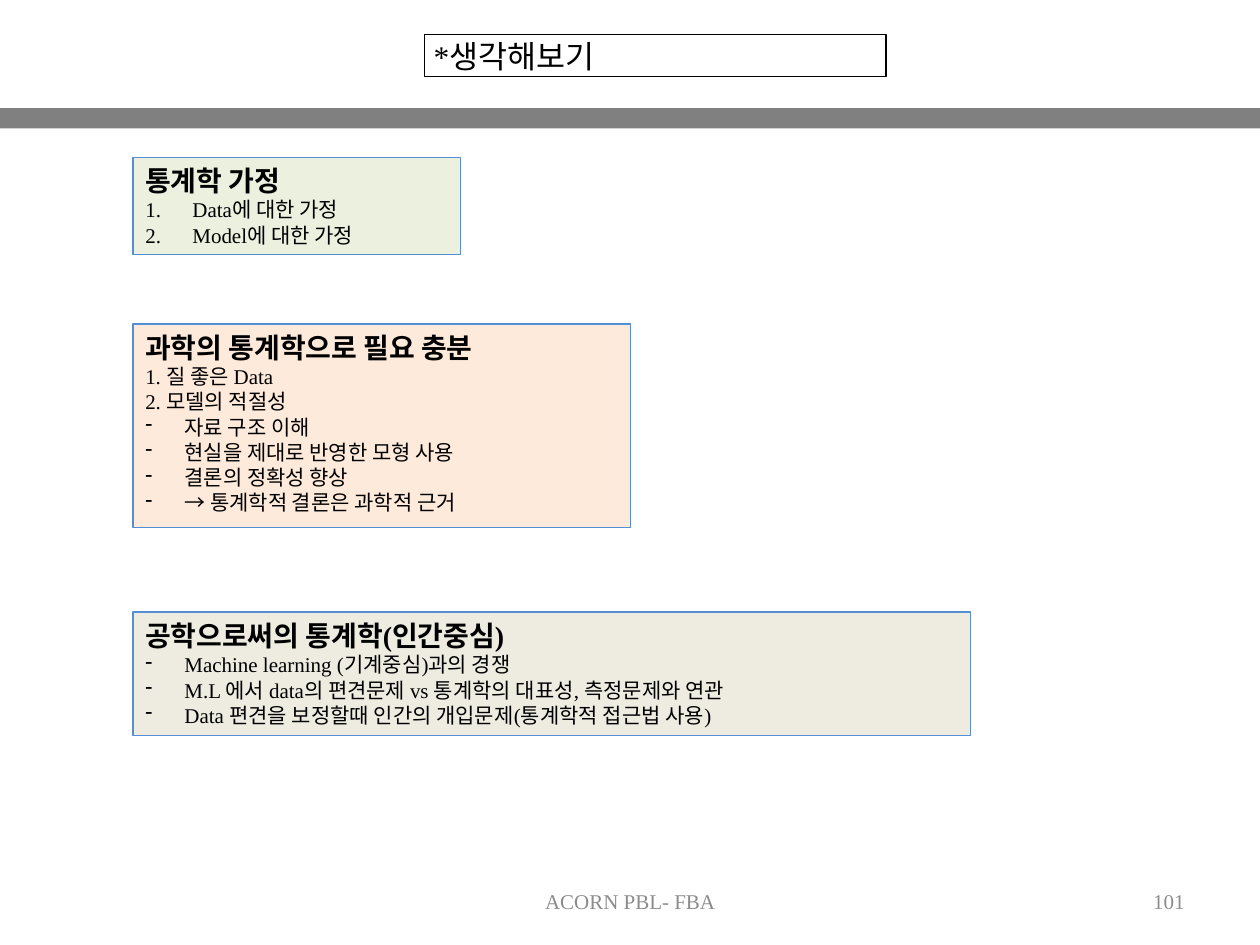
from lxml.etree import SubElement
from pptx import Presentation
from pptx.dml.color import RGBColor
from pptx.enum.shapes import MSO_SHAPE
from pptx.enum.text import MSO_ANCHOR, MSO_AUTO_SIZE, PP_ALIGN
from pptx.oxml.ns import qn
from pptx.util import Cm, Pt

FONT = "Times New Roman"
BLACK, WHITE, GREY, FOOTER_GREY, BLUE = "000000", "FFFFFF", "808080", "8C8C8C", "558ED5"
BOX_LEFT = 2.68
NUMBER, DASH = ("buAutoNum", "type", "arabicPeriod"), ("buChar", "char", "-")
INDENTS = {NUMBER: 0.95, DASH: 0.79}

# (top, width, height), fill, heading, [(bullet, line), ...]
TOPICS = [
    ((3.17, 6.6, 1.96), "EBF1DE", "통계학 가정", [
        (NUMBER, "Data에 대한 가정"),
        (NUMBER, "Model에 대한 가정"),
    ]),
    ((6.53, 10.03, 4.11), "FDEADA", "과학의 통계학으로 필요 충분", [
        (None, "1. 질 좋은 Data"),
        (None, "2. 모델의 적절성"),
        (DASH, "자료 구조 이해"),
        (DASH, "현실을 제대로 반영한 모형 사용"),
        (DASH, "결론의 정확성 향상"),
        (DASH, "→ 통계학적 결론은 과학적 근거"),
    ]),
    ((12.34, 16.89, 2.49), "EEECE1", "공학으로써의 통계학(인간중심)", [
        (DASH, "Machine learning (기계중심)과의 경쟁"),
        (DASH, "M.L 에서 data의 편견문제 vs 통계학의 대표성, 측정문제와 연관"),
        (DASH, "Data 편견을 보정할때 인간의 개입문제(통계학적 접근법 사용)"),
    ]),
]


def color(value):
    return RGBColor.from_string(value)


def place(shape, left, top, width, height):
    shape.left, shape.top = Cm(left), Cm(top)
    shape.width, shape.height = Cm(width), Cm(height)


def paint(shape, fill, line=None):
    shape.fill.solid()
    shape.fill.fore_color.rgb = color(fill)
    if line:
        shape.line.color.rgb = color(line)
        shape.line.width = Pt(0.75)
    else:
        shape.line.fill.background()


def add_rectangle(slide, box, fill, line=None):
    shape = slide.shapes.add_shape(MSO_SHAPE.RECTANGLE, *map(Cm, box))
    shape.shadow.inherit = False
    paint(shape, fill, line)
    return shape


def write(paragraph, text, size=12, bold=False, ink=BLACK, align=PP_ALIGN.LEFT, bullet=None):
    paragraph.alignment = align
    if bullet:
        tag, attribute, value = bullet
        properties = paragraph._p.get_or_add_pPr()
        indent = Cm(INDENTS[bullet])
        properties.set("marL", str(indent))
        properties.set("indent", str(-indent))
        SubElement(properties, qn(f"a:{tag}")).set(attribute, value)
    run = paragraph.add_run()
    run.text = text
    run.font.name = FONT
    run.font.size = Pt(size)
    run.font.bold = bold
    run.font.color.rgb = color(ink)


def add_header(slide, width):
    title = slide.shapes.title
    place(title, 8.56, 0.69, 9.3, 0.86)
    paint(title, WHITE, BLACK)
    frame = title.text_frame
    frame.auto_size = MSO_AUTO_SIZE.NONE
    frame.vertical_anchor = MSO_ANCHOR.MIDDLE
    frame.margin_left = frame.margin_right = Cm(0.18)
    frame.margin_top = frame.margin_bottom = Cm(0.1)
    write(frame.paragraphs[0], "*생각해보기", size=18)
    add_rectangle(slide, (0, 2.18, width, 0.41), GREY)


def add_footer_text(slide, box, text, align):
    frame = slide.shapes.add_textbox(*map(Cm, box)).text_frame
    frame.word_wrap = True
    frame.vertical_anchor = MSO_ANCHOR.MIDDLE
    write(frame.paragraphs[0], text, ink=FOOTER_GREY, align=align)


def add_topic(slide, box, fill, heading, lines):
    frame = add_rectangle(slide, box, fill, BLUE).text_frame
    frame.word_wrap = True
    frame.auto_size = MSO_AUTO_SIZE.SHAPE_TO_FIT_TEXT
    frame.vertical_anchor = MSO_ANCHOR.TOP
    write(frame.paragraphs[0], heading, size=16, bold=True)
    for bullet, line in lines:
        write(frame.add_paragraph(), line, bullet=bullet)


def main():
    presentation = Presentation()
    presentation.slide_width, presentation.slide_height = Cm(25.4), Cm(19.05)
    slide = presentation.slides.add_slide(presentation.slide_layouts[5])
    add_header(slide, 25.4)
    add_footer_text(slide, (8.68, 17.65, 8.05, 1.02), "ACORN PBL- FBA", PP_ALIGN.CENTER)
    add_footer_text(slide, (18.2, 17.65, 5.93, 1.02), "101", PP_ALIGN.RIGHT)
    for box, fill, heading, lines in TOPICS:
        add_topic(slide, (BOX_LEFT, *box), fill, heading, lines)
    presentation.save("out.pptx")


if __name__ == "__main__":
    main()
